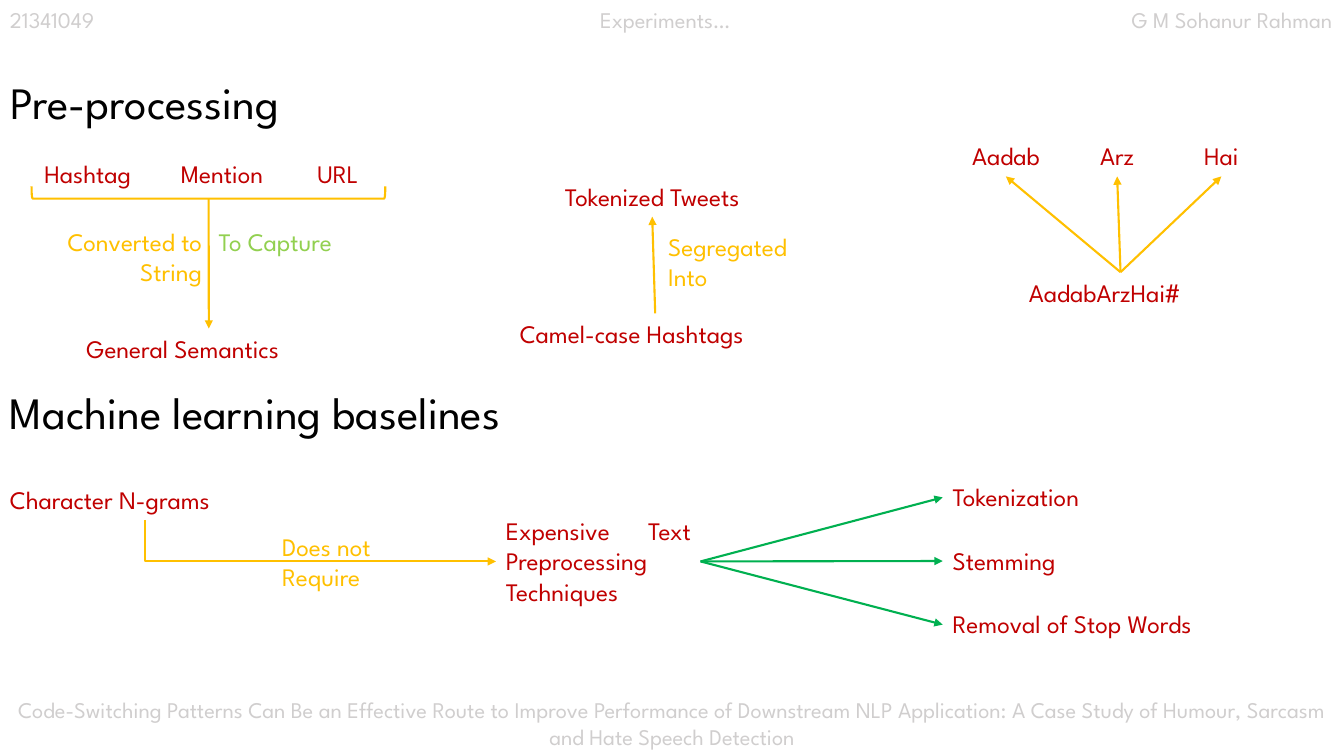
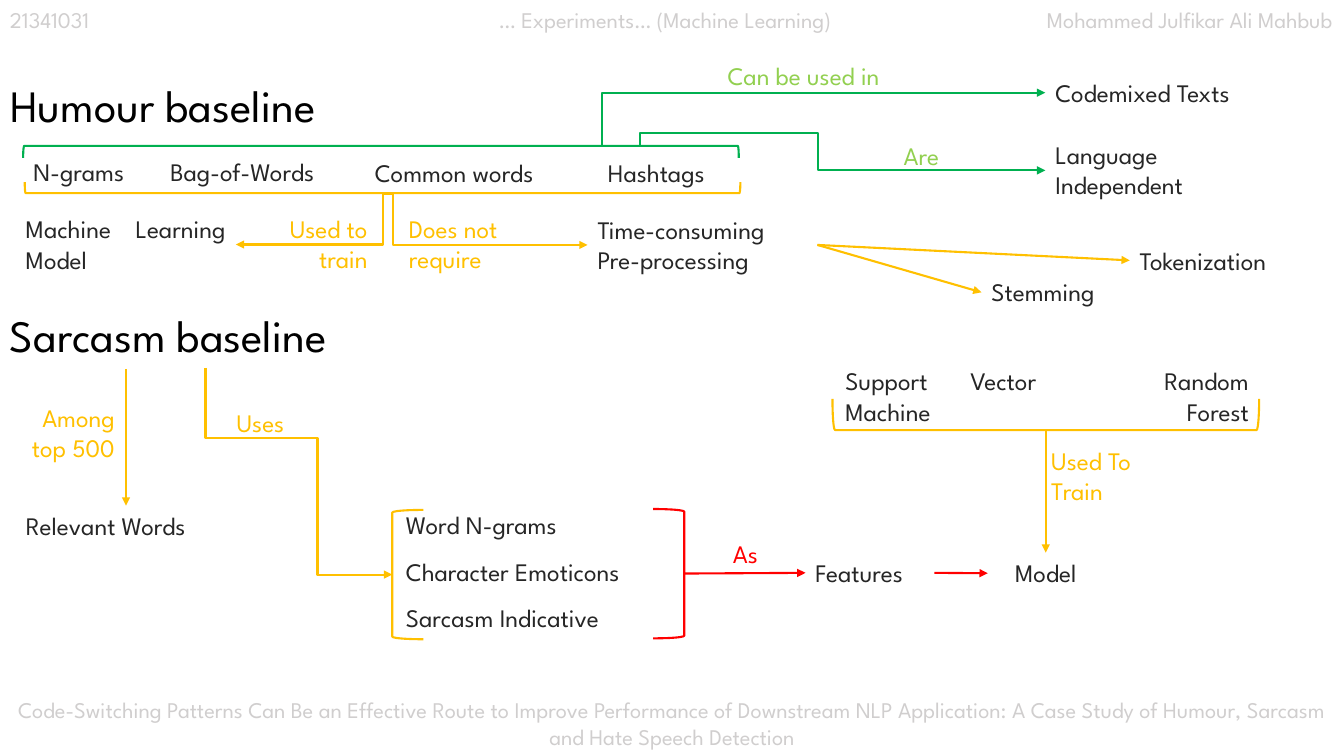
from lxml.etree import SubElement
from pptx import Presentation
from pptx.dml.color import RGBColor
from pptx.enum.shapes import MSO_CONNECTOR, MSO_SHAPE
from pptx.enum.text import MSO_ANCHOR, MSO_AUTO_SIZE, PP_ALIGN
from pptx.oxml.ns import qn
from pptx.util import Inches, Pt

CELL = Inches(1) // 12
COLUMNS, ROWS = 160, 90
FONT = "League Spartan"
BLACK, INK, GREY = "000000", "262626", "D0CECE"
CRIMSON, RED, AMBER = "C00000", "FF0000", "FFC000"
GREEN, LIME = "00B050", "92D050"
LEFT, RIGHT = PP_ALIGN.LEFT, PP_ALIGN.RIGHT
CENTER, JUSTIFY = PP_ALIGN.CENTER, PP_ALIGN.JUSTIFY
FRAME_FORMAT = {
    "word_wrap": True,
    "auto_size": MSO_AUTO_SIZE.NONE,
    "vertical_anchor": MSO_ANCHOR.TOP,
}
PLACE = ("left", "top", "width", "height")
TURN = {"right": 0, "bottom": 90, "left": 180, "top": 270}
HEADER_TABS = (("ctr", 6.5), ("r", 13.12))
PAPER = (
    "Code-Switching Patterns Can Be an Effective Route to Improve Performance "
    "of Downstream NLP Application: A Case Study of Humour, Sarcasm and Hate "
    "Speech Detection"
)


def color(hex_code):
    """Turn a hex string into a colour."""
    return RGBColor.from_string(hex_code)


def cells(*counts):
    """Turn counts of grid cells into lengths."""
    return [round(count * CELL) for count in counts]


def apply(target, values):
    """Set each attribute named in a dict."""
    for name, value in values.items():
        setattr(target, name, value)


def height_of(lines, size):
    """Return the rows taken by lines of text with their insets."""
    return 1.2 + lines * size * 0.2


def style_text(holder, text, hue, size, align):
    """Fill a text holder with one formatted paragraph."""
    frame = holder.text_frame
    apply(frame, FRAME_FORMAT)
    frame.text = text
    paragraph = frame.paragraphs[0]
    paragraph.alignment = align
    font = paragraph.runs[0].font
    apply(font, {"name": FONT, "size": Pt(size)})
    font.color.rgb = color(hue)
    return paragraph


def add_label(slide, text, x, y, width, hue, align=LEFT, lines=1, size=18):
    """Add a text label at a grid position."""
    box = slide.shapes.add_textbox(*cells(x, y, width, height_of(lines, size)))
    return style_text(box, text, hue, size, align)


def add_title(slide, text, y, width):
    """Place the slide title in its placeholder."""
    title = slide.shapes.title
    apply(title, dict(zip(PLACE, cells(0, y, width, height_of(1, 32)))))
    style_text(title, text, BLACK, 32, LEFT)


def add_heading(slide, text, y, width):
    """Add a second heading in the style of the title."""
    add_label(slide, text, 0, y, width, BLACK, size=32)


def add_header(slide, *parts):
    """Add the tabbed running header."""
    header = add_label(slide, "\t".join(parts), 0, 0.1, COLUMNS, GREY, size=16)
    tab_list = SubElement(header._p.get_or_add_pPr(), qn("a:tabLst"))
    for align, position in HEADER_TABS:
        SubElement(tab_list, qn("a:tab"), pos=str(Inches(position)), algn=align)


def add_arrow(slide, hue, start, end, kind=MSO_CONNECTOR.STRAIGHT):
    """Add a connector that ends in an arrowhead."""
    arrow = slide.shapes.add_connector(kind, *cells(*start, *end))
    arrow.line.width = Pt(1.5)
    arrow.line.color.rgb = color(hue)
    SubElement(arrow.line._get_or_add_ln(), qn("a:tailEnd"), type="triangle")
    SubElement(arrow._element.spPr, qn("a:effectLst"))
    return arrow


def add_elbow(slide, hue, start, end, *bends):
    """Add a bent arrow that leaves its start vertically."""
    arrow = add_arrow(slide, hue, start, end, MSO_CONNECTOR.ELBOW)
    (x1, y1), (x2, y2) = start, end
    run, rise = abs(x2 - x1), abs(y2 - y1)
    corner = (x1 + x2 - rise) / 2, (y1 + y2 - run) / 2
    apply(arrow, dict(zip(PLACE, cells(*corner, rise, run))))
    upward = y2 < y1
    turn = {
        "rot": str((90 if upward else 270) * 60000),
        "flipH": "1",
        "flipV": str(int(upward or x2 < x1)),
    }
    frame = arrow._element.spPr.find(qn("a:xfrm"))
    for name, value in turn.items():
        frame.set(name, value)
    outline = arrow._element.spPr.find(qn("a:prstGeom"))
    outline.set("prst", f"bentConnector{len(bends) + 2}")
    guides = outline.find(qn("a:avLst"))
    if guides is None:
        guides = SubElement(outline, qn("a:avLst"))
    for index, share in enumerate(bends, 1):
        SubElement(guides, qn("a:gd"), name=f"adj{index}",
                   fmla=f"val {round(share * 100000)}")


def add_fan(slide, hue, source, targets):
    """Draw arrows from one source to several targets."""
    for target in targets:
        add_arrow(slide, hue, source, target)


def add_bracket(slide, hue, side, x, y, width, height):
    """Add a bracket whose spine lies on the given side of its area."""
    if side in ("top", "bottom"):
        shift = (width - height) / 2
        x, y, width, height = x + shift, y - shift, height, width
    bracket = slide.shapes.add_shape(
        MSO_SHAPE.RIGHT_BRACKET, *cells(x, y, width, height)
    )
    bracket.rotation = TURN[side]
    bracket.shadow.inherit = False
    bracket.fill.background()
    bracket.line.color.rgb = color(hue)
    bracket.line.width = Pt(1.5)


def start_slide(deck, number, topic, author, title, title_row, title_width):
    """Add a slide with its header, title and footer."""
    slide = deck.slides.add_slide(deck.slide_layouts.get_by_name("Title Only"))
    add_header(slide, number, topic, author)
    add_title(slide, title, title_row, title_width)
    add_label(slide, PAPER, 0, 82.3, COLUMNS, GREY, CENTER, lines=2, size=16)
    return slide


def add_labels(slide, hue, rows):
    """Add several labels of one colour."""
    for text, x, y, width, *rest in rows:
        add_label(slide, text, x, y, width, hue, *rest)


def build_preprocessing(deck):
    """Build the slide on pre-processing and baselines."""
    slide = start_slide(deck, "21341049", "Experiments…", "G M Sohanur Rahman",
                        "Pre-processing", 8.3, 71.2)
    add_heading(slide, "Machine learning baselines", 45.24, 75)

    for column, token in enumerate(("Hashtag", "Mention", "URL")):
        add_label(slide, token, 4.1 + 16.25 * column, 18.26, 15, CRIMSON)
    add_bracket(slide, AMBER, "bottom", 3.75, 22.2, 42.12, 1.44)
    add_arrow(slide, AMBER, (24.84, 23.64), (24.86, 39.12))
    add_label(slide, "To Capture", 24.85, 26.4, 16.9, LIME)

    add_labels(slide, CRIMSON, (
        ("General Semantics", 9.12, 39.12, 31.4),
        ("Tokenized Tweets", 60.36, 21, 34.6, CENTER),
        ("Camel-case Hashtags", 60.7, 37.3, 34.6),
        ("Character N-grams", 0, 57.04, 34.6),
        ("Expensive Text Preprocessing Techniques", 59.04, 60.78, 24.4, JUSTIFY, 3),
    ))
    hashtag = add_label(slide, "#AadabArzHai", 121.3, 32.4, 24.1, CRIMSON, None)
    hashtag._p.get_or_add_pPr().set("rtl", "1")
    add_labels(slide, AMBER, (
        ("Converted to String", 3.75, 26.3, 21.5, RIGHT, 2),
        ("Segregated Into", 78.36, 26.96, 19.8, LEFT, 2),
        ("Does not Require", 32.4, 62.65, 21.5, LEFT, 2),
    ))
    add_arrow(slide, AMBER, (78, 37.3), (77.65, 25.8))
    add_elbow(slide, AMBER, (17.3, 61.9), (59.04, 66.84))

    words = (("Aadab", 112.25, 15), ("Arz", 128.5, 9), ("Hai", 140.9, 9))
    for word, x, width in words:
        add_label(slide, word, x, 16.1, width, CRIMSON, CENTER)
    add_fan(slide, AMBER, (133.4, 32.4),
            [(x + width / 2, 21) for _, x, width in words])

    steps = ("Tokenization", "Stemming", "Removal of Stop Words")
    step_rows = [56.74 + 7.57 * index for index in range(len(steps))]
    for step, row in zip(steps, step_rows):
        add_label(slide, step, 112.23, row, 38.2, CRIMSON)
    add_fan(slide, GREEN, (83.4, 66.84), [(112.23, row + 2.48) for row in step_rows])


def build_humour(slide):
    """Draw the humour baseline diagram."""
    add_labels(slide, INK, (
        ("N-grams", 2.8, 18.05, 16.3),
        ("Bag-of-Words", 19.1, 18.07, 23.3),
        ("Common words", 43.45, 18.1, 26.2),
        ("Hashtags", 71.2, 18.1, 17),
        ("Machine Learning Model", 1.88, 24.84, 26.16, JUSTIFY, 2),
        ("Time-consuming Pre-processing", 69.96, 24.92, 27.4, JUSTIFY, 2),
        ("Tokenization", 134.5, 28.6, 22.2),
        ("Stemming", 116.85, 32.36, 27.4),
        ("Codemixed Texts", 124.46, 8.64, 27.4),
        ("Language Independent", 124.46, 16, 27.4, JUSTIFY, 2),
    ))
    add_labels(slide, AMBER, (
        ("Used to train", 28.24, 24.76, 16.7, RIGHT, 2),
        ("Does not require", 47.5, 24.76, 16.7, LEFT, 2),
    ))
    add_labels(slide, LIME, (
        ("Are", 106.4, 16.1, 16.7),
        ("Can be used in", 85.44, 6.6, 25.3),
    ))
    add_bracket(slide, AMBER, "bottom", 2.94, 21.68, 85.2, 1.32)
    add_bracket(slide, GREEN, "top", 2.76, 17.36, 85.2, 1.44)
    add_elbow(slide, AMBER, (45.6, 23.04), (28.08, 29.1), 1, 0.52)
    add_elbow(slide, AMBER, (45.6, 23.04), (69.96, 29.16), 0, 0.05)
    add_elbow(slide, GREEN, (71.64, 17.3), (124.44, 11.04), 1, 0.26)
    add_elbow(slide, GREEN, (76.2, 17.3), (124.44, 20.28), -0.49, 0.44)
    add_fan(slide, AMBER, (97.32, 29.16), ((134.5, 31), (116.85, 34.8)))


def build_sarcasm(slide):
    """Draw the sarcasm baseline diagram."""
    add_heading(slide, "Sarcasm baseline", 36.1, 49)
    features = ("Word N-grams", "Character Emoticons", "Sarcasm Indicative")
    for index, feature in enumerate(features):
        add_label(slide, feature, 47.15, 60.1 + 5.52 * index, 34.3, INK)
    add_labels(slide, INK, (
        ("Relevant Words", 1.9, 60.2, 26.2),
        ("Features", 95.9, 65.8, 15.4),
        ("Support Vector Machine", 99.45, 42.96, 25.1, JUSTIFY, 2),
        ("Random Forest", 130.56, 42.96, 19.3, RIGHT, 2),
        ("Model", 117.6, 65.8, 13.8, CENTER),
    ))
    add_labels(slide, AMBER, (
        ("Among top 500", 0.36, 47.3, 14.5, RIGHT, 2),
        ("Uses", 24.46, 47.9, 13.1, CENTER),
        ("Used To Train", 123.96, 52.4, 13.1, LEFT, 2),
    ))
    add_label(slide, "As", 81.85, 63.5, 13.8, RED, CENTER)
    add_bracket(slide, AMBER, "left", 46.7, 60.7, 3.7, 15.4)
    add_bracket(slide, RED, "right", 77.76, 60.6, 3.7, 15.4)
    add_bracket(slide, AMBER, "bottom", 99.1, 47.5, 50.8, 3.7)
    add_arrow(slide, AMBER, (15, 43.9), (15, 60.2))
    add_elbow(slide, AMBER, (24.46, 43.8), (46.68, 68.4), 0.34, 0.6)
    add_arrow(slide, AMBER, (124.5, 51.2), (124.5, 65.8))
    add_arrow(slide, RED, (81.5, 68.28), (95.9, 68.2))
    add_arrow(slide, RED, (111.24, 68.2), (117.6, 68.24))


def main():
    """Build and save the deck."""
    deck = Presentation()
    apply(deck, {"slide_width": COLUMNS * CELL, "slide_height": ROWS * CELL})
    build_preprocessing(deck)
    baselines = start_slide(deck, "21341031", "… Experiments… (Machine Learning)",
                            "Mohammed Julfikar Ali Mahbub", "Humour baseline", 8.6, 54)
    build_humour(baselines)
    build_sarcasm(baselines)
    deck.save("out.pptx")


if __name__ == "__main__":
    main()
